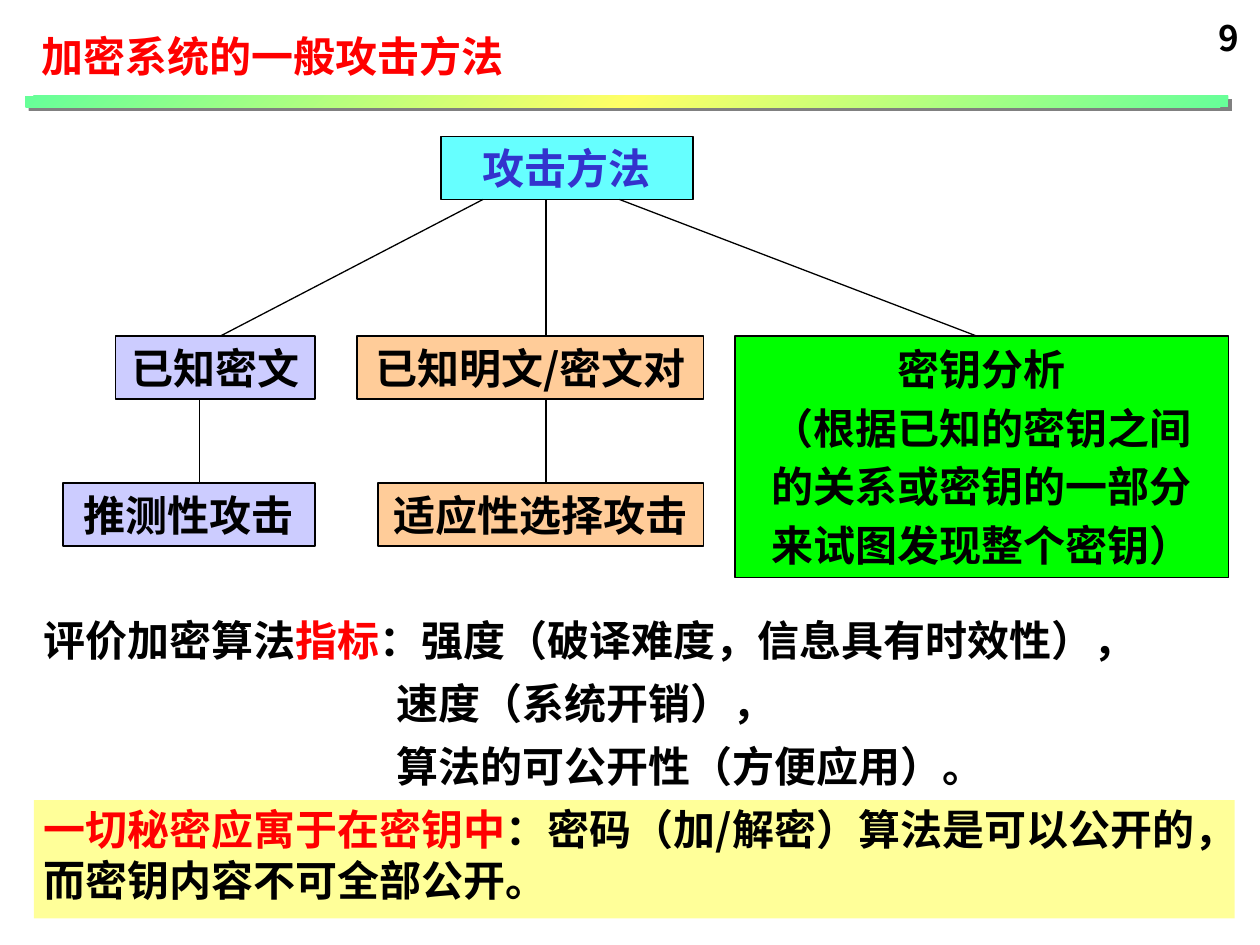
from dataclasses import dataclass

from lxml import etree
from pptx import Presentation
from pptx.dml.color import RGBColor
from pptx.enum.shapes import MSO_CONNECTOR, MSO_SHAPE
from pptx.enum.text import MSO_ANCHOR, MSO_AUTO_SIZE, PP_ALIGN
from pptx.oxml import parse_xml
from pptx.oxml.ns import nsdecls, qn
from pptx.util import Inches, Pt

RECTANGLE = MSO_SHAPE.RECTANGLE
STRAIGHT = MSO_CONNECTOR.STRAIGHT
MIDDLE = MSO_ANCHOR.MIDDLE
CENTER = PP_ALIGN.CENTER
FIT_SHAPE = MSO_AUTO_SIZE.SHAPE_TO_FIT_TEXT

BLACK = RGBColor(0x00, 0x00, 0x00)
RED = RGBColor(0xFF, 0x00, 0x00)
BLUE = RGBColor(0x33, 0x33, 0xCD)
CYAN = RGBColor(0x66, 0xFF, 0xFF)
LAVENDER = RGBColor(0xCC, 0xCC, 0xFF)
PEACH = RGBColor(0xFF, 0xCC, 0x99)
GREEN = RGBColor(0x00, 0xFF, 0x00)
PALE_YELLOW = RGBColor(0xFF, 0xFF, 0x99)

CJK_FONT = "Noto Sans CJK SC"
LATIN_FONT = "Times New Roman"
TEXT_SIZE = 24
CELL = Inches(10) // 120  # the diagram sits on a grid of 120 columns by 90 rows
BOX_ROWS = 6
ROOT_ROW, METHOD_ROW, VARIANT_ROW = 13, 32, 46


@dataclass(frozen=True)
class Box:
    column: int
    row: int
    columns: int
    text: str
    fill: RGBColor
    color: RGBColor = BLACK
    rows: int = BOX_ROWS


@dataclass(frozen=True)
class Link:
    start_column: int
    start_row: int
    end_column: int
    end_row: int


@dataclass(frozen=True)
class Span:
    text: str
    color: RGBColor = BLACK
    font: str = LATIN_FONT


BOXES = [
    Box(42, ROOT_ROW, 24, "攻击方法", CYAN, BLUE),
    Box(11, METHOD_ROW, 19, "已知密文", LAVENDER),
    Box(34, METHOD_ROW, 33, "已知明文/密文对", PEACH),
    Box(70, METHOD_ROW, 47,
        "密钥分析\n（根据已知的密钥之间\n的关系或密钥的一部分\n来试图发现整个密钥）",
        GREEN, rows=23),
    Box(6, VARIANT_ROW, 24, "推测性攻击", LAVENDER),
    Box(36, VARIANT_ROW, 31, "适应性选择攻击", PEACH),
]

ROOT_BOTTOM = ROOT_ROW + BOX_ROWS
METHOD_BOTTOM = METHOD_ROW + BOX_ROWS
LINKS = [
    Link(52, ROOT_BOTTOM, 52, METHOD_ROW),
    Link(46, ROOT_BOTTOM, 21, METHOD_ROW),
    Link(59, ROOT_BOTTOM, 93, METHOD_ROW),
    Link(52, METHOD_BOTTOM, 52, VARIANT_ROW),
    Link(19, METHOD_BOTTOM, 19, VARIANT_ROW),
]

CRITERIA = [
    [Span("评价加密算法"), Span("指标", RED), Span("：强度（破译难度，信息具有时效性），")],
    [Span("速度（系统开销），")],
    [Span("算法的可公开性（方便应用）。")],
    [Span("一切秘密应寓于在密钥中", RED, CJK_FONT),
     Span("：密码（加/解密）算法是可以公开的，而密钥内容不可全部公开。", font=CJK_FONT)],
]
INDENTED_CRITERIA = (1, 2)


def format_run(run, color: RGBColor, size: float = TEXT_SIZE, font: str = CJK_FONT) -> None:
    run.font.size = Pt(size)
    run.font.bold = True
    run.font.color.rgb = color
    run.font.name = font
    east_asian = etree.SubElement(run.font._element, qn("a:ea"))
    east_asian.set("typeface", CJK_FONT)


def add_rectangle(slide, left: int, top: int, width: int, height: int):
    shape = slide.shapes.add_shape(RECTANGLE, left, top, width, height)
    shape.shadow.inherit = False
    shape.line.fill.background()
    return shape


def add_title_bar(slide) -> None:
    """Add the gradient rule with its hard grey shadow."""
    bar = add_rectangle(slide, Inches(0.2), Inches(0.76), Inches(9.55), Inches(0.09))
    properties = bar._element.spPr
    stops = "".join(
        f'<a:gs pos="{position}"><a:srgbClr val="{color}"/></a:gs>'
        for position, color in ((0, "66FF99"), (50000, "FFFF66"), (100000, "66FF99")))
    properties.find(qn("a:prstGeom")).addnext(parse_xml(
        f'<a:gradFill {nsdecls("a")} rotWithShape="1"><a:gsLst>{stops}</a:gsLst>'
        '<a:lin ang="2700000" scaled="1"/></a:gradFill>'))
    properties.find(qn("a:effectLst")).append(parse_xml(
        f'<a:outerShdw {nsdecls("a")} dist="{Pt(2.8)}" dir="2700000" algn="ctr" '
        'rotWithShape="0"><a:srgbClr val="808080"/></a:outerShdw>'))


def add_label(slide, left: float, top: float, width: float, height: float,
              text: str, color: RGBColor, size: float) -> None:
    label = slide.shapes.add_textbox(*map(Inches, (left, top, width, height)))
    frame = label.text_frame
    frame.word_wrap = False
    frame.auto_size = FIT_SHAPE
    frame.text = text
    format_run(frame.paragraphs[0].runs[0], color, size)


def add_box(slide, box: Box) -> None:
    shape = add_rectangle(slide, box.column * CELL, box.row * CELL,
                          box.columns * CELL, box.rows * CELL)
    shape.fill.solid()
    shape.fill.fore_color.rgb = box.fill
    shape.line.color.rgb = BLACK
    shape.line.width = Pt(0.75)
    frame = shape.text_frame
    frame.word_wrap = False
    frame.vertical_anchor = MIDDLE
    frame.text = box.text
    for index, paragraph in enumerate(frame.paragraphs):
        paragraph.alignment = CENTER
        if index:
            paragraph.space_before = Pt(0.2 * TEXT_SIZE)
        format_run(paragraph.runs[0], box.color)


def add_link(slide, link: Link) -> None:
    connector = slide.shapes.add_connector(
        STRAIGHT, link.start_column * CELL, link.start_row * CELL,
        link.end_column * CELL, link.end_row * CELL)
    connector.line.color.rgb = BLACK
    connector.line.width = Pt(0.75)
    etree.SubElement(connector._element.spPr, qn("a:effectLst"))


def add_criteria(slide) -> None:
    text_box = slide.shapes.add_textbox(Inches(0.25), Inches(4.83), Inches(9.5), Inches(2.46))
    frame = text_box.text_frame
    frame.word_wrap = True
    frame.auto_size = FIT_SHAPE
    for index, spans in enumerate(CRITERIA):
        paragraph = frame.add_paragraph() if index else frame.paragraphs[0]
        if index:
            paragraph.space_before = Pt(0.1 * TEXT_SIZE)
        if index < len(CRITERIA) - 1:
            paragraph.space_after = Pt(0.2 * TEXT_SIZE)
        if index in INDENTED_CRITERIA:
            paragraph._p.get_or_add_pPr().set("marL", str(Inches(2.8)))
        for span in spans:
            run = paragraph.add_run()
            run.text = span.text
            format_run(run, span.color, font=span.font)


def main() -> None:
    presentation = Presentation()
    presentation.slide_width = Inches(10)
    presentation.slide_height = Inches(7.5)
    slide = presentation.slides.add_slide(presentation.slide_layouts[6])

    highlight = add_rectangle(slide, Inches(0.27), Inches(6.35), Inches(9.53), Inches(0.94))
    highlight.fill.solid()
    highlight.fill.fore_color.rgb = PALE_YELLOW
    add_title_bar(slide)
    add_label(slide, 0.23, 0.19, 3.89, 0.5, "加密系统的一般攻击方法", RED, TEXT_SIZE)
    for box in BOXES:
        add_box(slide, box)
    for link in LINKS:
        add_link(slide, link)
    add_criteria(slide)
    add_label(slide, 9.57, 0.08, 0.34, 0.43, "9", BLACK, 20)
    presentation.save("out.pptx")


if __name__ == "__main__":
    main()
